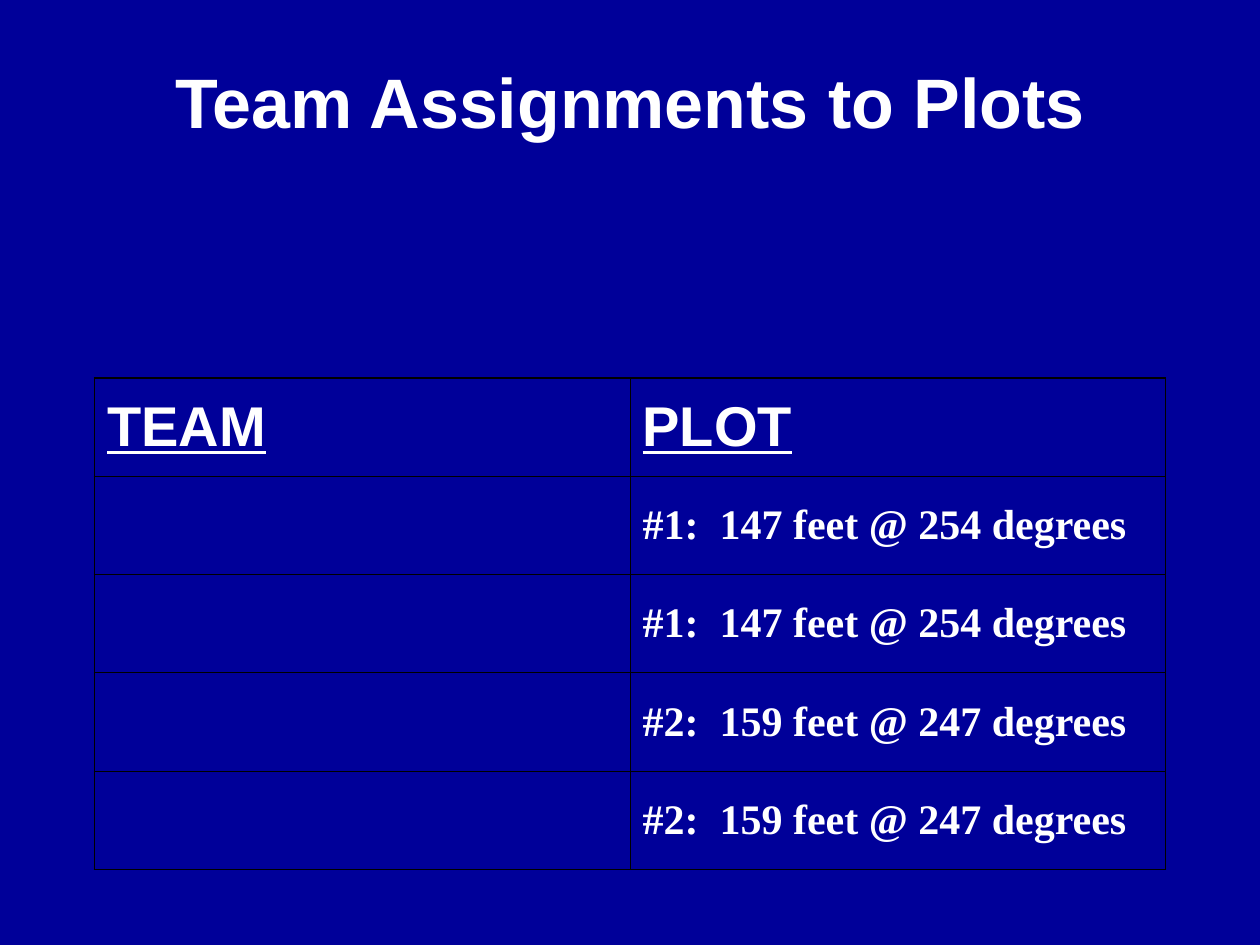
from lxml import etree
from pptx import Presentation
from pptx.dml.color import RGBColor
from pptx.enum.text import MSO_ANCHOR, PP_ALIGN
from pptx.oxml.ns import qn
from pptx.util import Pt

TITLE = "Team Assignments to Plots"
ROWS = [
    ("TEAM", "PLOT"),
    ("", "#1:  147 feet @ 254 degrees"),
    ("", "#1:  147 feet @ 254 degrees"),
    ("", "#2:  159 feet @ 247 degrees"),
    ("", "#2:  159 feet @ 247 degrees"),
]

NAVY = RGBColor(0x00, 0x00, 0x99)
WHITE = RGBColor(0xFF, 0xFF, 0xFF)
BLACK = RGBColor(0x00, 0x00, 0x00)
MIDDLE = MSO_ANCHOR.MIDDLE
CENTER = PP_ALIGN.CENTER

LEFT, WIDTH = 54, 612
TABLE_TOP, ROW_HEIGHT = 216, 56.16
OUTER_LINE, INNER_LINE = Pt(1.08), Pt(0.45)


def style_text(paragraph, font_name, size, underline=False):
    font = paragraph.font
    font.name = font_name
    font.size = Pt(size)
    font.bold = True
    font.underline = underline
    font.color.rgb = WHITE


def add_border(cell, side, width):
    properties = cell._tc.get_or_add_tcPr()
    line = etree.SubElement(properties, qn(f"a:ln{side}"), w=str(int(width)))
    fill = etree.SubElement(line, qn("a:solidFill"))
    etree.SubElement(fill, qn("a:srgbClr"), val=str(BLACK))


def add_title(page):
    box = page.shapes.add_textbox(Pt(LEFT), Pt(12.24), Pt(WIDTH), Pt(90))
    frame = box.text_frame
    frame.word_wrap = True
    frame.vertical_anchor = MIDDLE
    paragraph = frame.paragraphs[0]
    paragraph.text = TITLE
    paragraph.alignment = CENTER
    style_text(paragraph, "Arial", 40)


def add_plot_table(page):
    row_count, column_count = len(ROWS), len(ROWS[0])
    table = page.shapes.add_table(
        row_count, column_count, Pt(LEFT), Pt(TABLE_TOP),
        Pt(WIDTH), Pt(ROW_HEIGHT * row_count),
    ).table
    table.first_row = False
    table.horz_banding = False
    for row_index, texts in enumerate(ROWS):
        for column_index, text in enumerate(texts):
            cell = table.cell(row_index, column_index)
            cell.vertical_anchor = MIDDLE
            on_edge = {
                "L": column_index == 0,
                "R": column_index == column_count - 1,
                "T": row_index == 0,
                "B": row_index == row_count - 1,
            }
            for side, is_outer in on_edge.items():
                add_border(cell, side, OUTER_LINE if is_outer else INNER_LINE)
            cell.fill.background()
            paragraph = cell.text_frame.paragraphs[0]
            paragraph.text = text
            if row_index == 0:
                style_text(paragraph, "Arial", 32, underline=True)
            else:
                style_text(paragraph, "Times New Roman", 24)


def main():
    deck = Presentation()
    deck.slide_width, deck.slide_height = Pt(720), Pt(540)
    page = deck.slides.add_slide(deck.slide_layouts[6])
    page.background.fill.solid()
    page.background.fill.fore_color.rgb = NAVY
    add_title(page)
    add_plot_table(page)
    deck.save("out.pptx")


if __name__ == "__main__":
    main()
